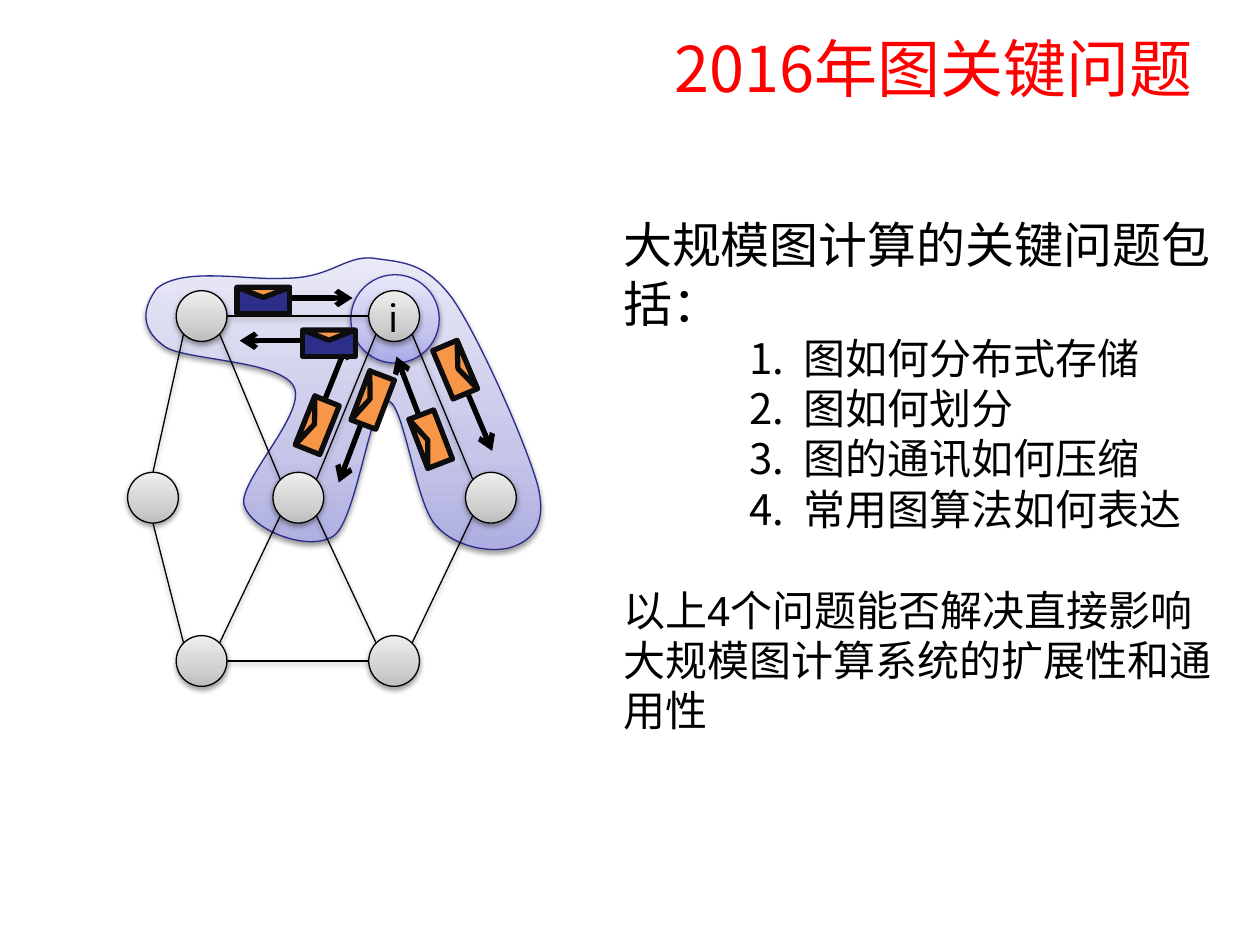
"""Build a slide on the key problems of graph computing, with a message-passing diagram."""
from copy import deepcopy
from math import cos, radians, sin

from lxml import etree
from pptx import Presentation
from pptx.dml.color import RGBColor
from pptx.enum.shapes import MSO_CONNECTOR, MSO_SHAPE
from pptx.enum.text import MSO_ANCHOR, MSO_AUTO_SIZE, PP_ALIGN
from pptx.oxml.ns import qn
from pptx.util import Pt

BLACK = RGBColor(0x00, 0x00, 0x00)
RED = RGBColor(0xFF, 0x00, 0x00)
INK = RGBColor(0x0D, 0x0D, 0x0D)
NAVY = RGBColor(0x2D, 0x2D, 0x8A)
ORANGE = RGBColor(0xF7, 0x96, 0x46)
REGION_LINE = RGBColor(0x2A, 0x2A, 0x89)
HALO_LINE = RGBColor(0x2F, 0x2F, 0x98)
REGION_FILL = [RGBColor(0xAD, 0xAD, 0xE1), RGBColor(0xC6, 0xC6, 0xE9), RGBColor(0xE9, 0xE9, 0xF7)]
HALO_FILL = [RGBColor(0xA9, 0xA9, 0xE9), RGBColor(0xC4, 0xC4, 0xEF), RGBColor(0xE8, 0xE8, 0xFA)]
NODE_FILL = [RGBColor(0xBD, 0xBD, 0xBD), RGBColor(0xD1, 0xD1, 0xD1), RGBColor(0xEE, 0xEE, 0xEE)]


def outline(shape, color, width, shadow=False):
    shape.line.color.rgb = color
    shape.line.width = Pt(width)
    effects = etree.SubElement(shape._element.spPr, qn("a:effectLst"))
    if shadow:
        outer = etree.SubElement(effects, qn("a:outerShdw"), blurRad=str(Pt(3.1)),
                                 dist=str(Pt(1.6)), dir="5400000", rotWithShape="0")
        tint = etree.SubElement(outer, qn("a:srgbClr"), val=str(BLACK))
        etree.SubElement(tint, qn("a:alpha"), val="38000")


def shade(shape, colors):
    shape.fill.gradient()
    shape.fill.gradient_angle = 90
    stop_list = shape._element.spPr.find(qn("a:gradFill")).find(qn("a:gsLst"))
    stop_list.insert(1, deepcopy(stop_list[0]))
    for stop, color, position in zip(shape.fill.gradient_stops, colors, (0, 0.35, 1)):
        stop.color.rgb = color
        stop.position = position


deck = Presentation()
deck.slide_width, deck.slide_height = Pt(720), Pt(540)
page = deck.slides.add_slide(deck.slide_layouts[5])

title = page.shapes.title
title.left, title.top, title.width, title.height = Pt(332), Pt(0), Pt(402.5), Pt(77)
title.text_frame.text = "2016年图关键问题"
title.text_frame.auto_size = MSO_AUTO_SIZE.NONE
title.text_frame.vertical_anchor = MSO_ANCHOR.MIDDLE
heading = title.text_frame.paragraphs[0]
heading.alignment = PP_ALIGN.CENTER
span = heading.runs[0]
span.font.size = Pt(36)
span.font.color.rgb = RED
span.font.name = "Noto Sans CJK SC"
etree.SubElement(span._r.rPr, qn("a:ea"), typeface="Noto Sans CJK SC")

REGION_START = (213, 147.5)
REGION_CURVES = [
    (197, 146), (189, 159), (163, 159),
    (142, 160.5), (104.5, 152), (89.5, 165),
    (80, 178), (81.5, 189.5), (95, 198.5),
    (108, 206), (160.5, 206), (168, 221),
    (175.5, 236), (136, 275), (139.5, 288.5),
    (143.5, 303), (177, 316), (191, 306),
    (204, 296), (211.5, 229.5), (221, 229),
    (230.5, 227.5), (237, 286), (248.5, 299.5),
    (260.5, 314), (283, 316), (293, 312.5),
    (302.5, 309), (313, 301.5), (307.5, 278),
    (301, 254), (273.5, 192), (258.5, 170.5),
    (242.5, 149), (229, 150), REGION_START,
]
builder = page.shapes.build_freeform(Pt(REGION_START[0]), Pt(REGION_START[1]))
builder.add_line_segments([(Pt(x), Pt(y)) for x, y in REGION_CURVES], close=True)
region = builder.convert_to_shape()
segments = list(region._element.spPr.iter(qn("a:lnTo")))
for first in range(0, len(segments), 3):
    curve = etree.Element(qn("a:cubicBezTo"))
    segments[first].addprevious(curve)
    for segment in segments[first:first + 3]:
        curve.append(segment[0])
        segment.getparent().remove(segment)
shade(region, REGION_FILL)
outline(region, REGION_LINE, 0.75, shadow=True)

halo = page.shapes.add_shape(MSO_SHAPE.OVAL, Pt(200.5), Pt(157), Pt(50.5), Pt(50.5))
shade(halo, HALO_FILL)
outline(halo, HALO_LINE, 0.75, shadow=True)

RADIUS = 14.5
NODES = {
    "upper left": (115.2, 180.6), "i": (225.2, 180.6),
    "left": (87.4, 284.4), "middle": (170.5, 284.4), "right": (280.5, 284.4),
    "lower left": (115.2, 377.7), "lower right": (225.2, 377.7),
}
SITES = {
    "E": (1, 0), "W": (-1, 0), "N": (0, -1), "S": (0, 1),
    "NE": (0.71, -0.71), "NW": (-0.71, -0.71), "SE": (0.71, 0.71), "SW": (-0.71, 0.71),
}
EDGES = [
    ("upper left", "E", "i", "W"), ("left", "N", "upper left", "SW"),
    ("right", "NW", "i", "SE"), ("middle", "NE", "i", "SW"),
    ("middle", "NW", "upper left", "SE"), ("lower left", "E", "lower right", "W"),
    ("lower left", "NW", "left", "S"), ("lower right", "NE", "right", "SW"),
    ("lower right", "NW", "middle", "SE"), ("lower left", "NE", "middle", "SW"),
]
for start, start_site, end, end_site in EDGES:
    ends = [Pt(center + RADIUS * offset)
            for node, site in ((start, start_site), (end, end_site))
            for center, offset in zip(NODES[node], SITES[site])]
    edge = page.shapes.add_connector(MSO_CONNECTOR.STRAIGHT, *ends)
    outline(edge, BLACK, 0.75, shadow=True)

for name, (x, y) in NODES.items():
    node = page.shapes.add_shape(MSO_SHAPE.OVAL, Pt(x - RADIUS), Pt(y - RADIUS),
                                 Pt(2 * RADIUS), Pt(2 * RADIUS))
    shade(node, NODE_FILL)
    outline(node, BLACK, 0.75, shadow=True)
    if name == "i":
        frame = node.text_frame
        frame.text = name
        frame.word_wrap = False
        frame.vertical_anchor = MSO_ANCHOR.MIDDLE
        label = frame.paragraphs[0]
        label.alignment = PP_ALIGN.CENTER
        label.runs[0].font.name = "Karla"
        label.runs[0].font.size = Pt(24)
        label.runs[0].font.color.rgb = BLACK

ENVELOPE_WIDTH, ENVELOPE_HEIGHT, FLAP_HEIGHT = 30, 15, 5.8
FLAP_LIFT, ARROW_LIFT, ARROW_REACH = 4.7, 1.5, 51
MESSAGES = [
    (150.5, 171.8, 0, 1, NAVY), (181.4, 243, 291.8, 1, ORANGE),
    (246.2, 250.9, 249, 1, ORANGE), (188, 196.2, 0, -1, NAVY),
    (260, 211.3, 67.1, 1, ORANGE), (213.1, 228.6, 290.8, -1, ORANGE),
]
for x, y, angle, heading_sign, color in MESSAGES:
    along_x, along_y = cos(radians(angle)), sin(radians(angle))
    up_x, up_y = along_y, -along_x
    message = page.shapes.add_group_shape()
    ends = []
    for reach in (ENVELOPE_WIDTH / 2, ARROW_REACH):
        ends.append(Pt(x + heading_sign * reach * along_x + ARROW_LIFT * up_x))
        ends.append(Pt(y + heading_sign * reach * along_y + ARROW_LIFT * up_y))
    arrow = message.shapes.add_connector(MSO_CONNECTOR.STRAIGHT, *ends)
    outline(arrow, BLACK, 3)
    etree.SubElement(arrow.line._ln, qn("a:tailEnd"), type="arrow")
    for kind, height, lift, turn, fill in (
        (MSO_SHAPE.RECTANGLE, ENVELOPE_HEIGHT, 0, 0, color),
        (MSO_SHAPE.ISOSCELES_TRIANGLE, FLAP_HEIGHT, FLAP_LIFT, 180, ORANGE),
    ):
        part = message.shapes.add_shape(
            kind, Pt(x + lift * up_x - ENVELOPE_WIDTH / 2), Pt(y + lift * up_y - height / 2),
            Pt(ENVELOPE_WIDTH), Pt(height))
        part.rotation = (angle + turn) % 360
        part.fill.solid()
        part.fill.fore_color.rgb = fill
        outline(part, INK, 3)

BODY = [
    ("大规模图计算的关键问题包括：", 28, False, 0),
    ("图如何分布式存储", 24, True, 0),
    ("图如何划分", 24, True, 0),
    ("图的通讯如何压缩", 24, True, 0),
    ("常用图算法如何表达", 24, True, 0),
    ("以上4个问题能否解决直接影响大规模图计算系统的扩展性和通用性", 24, False, 28.8),
]
box = page.shapes.add_textbox(Pt(313), Pt(119), Pt(399), Pt(307))
frame = box.text_frame
frame.word_wrap = True
frame.text = "\n".join(text for text, *rest in BODY)
for para, (text, size, numbered, gap) in zip(frame.paragraphs, BODY):
    properties = para._p.get_or_add_pPr()
    properties.set("marL", str(Pt(139 if numbered else 36)))
    properties.set("indent", str(Pt(-31 if numbered else 0)))
    if numbered:
        etree.SubElement(properties, qn("a:buFont"), typeface="Arial")
        etree.SubElement(properties, qn("a:buAutoNum"), type="arabicPeriod")
    if gap:
        para.space_before = Pt(gap)
    span = para.runs[0]
    span.font.name = "Arial"
    span.font.size = Pt(size)
    span.font.color.rgb = BLACK

deck.save("out.pptx")
